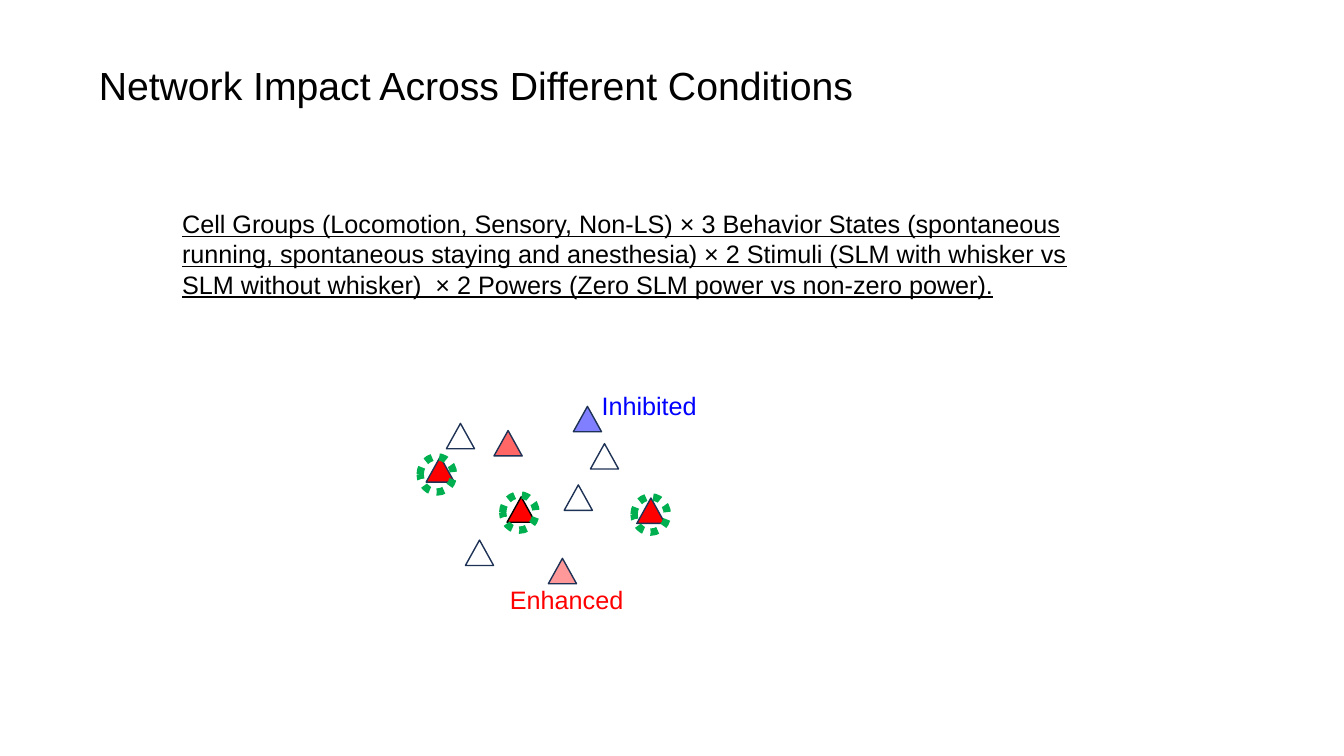
"""Build the slide on network impact across different conditions."""
from pptx import Presentation
from pptx.dml.color import RGBColor
from pptx.enum.dml import MSO_LINE
from pptx.enum.shapes import MSO_SHAPE as SHAPE
from pptx.enum.text import MSO_ANCHOR as ANCHOR
from pptx.oxml.ns import qn
from pptx.util import Cm, Pt
from lxml.etree import SubElement

FONT = "Arial"
BLACK, NAVY, RED, BLUE, GREEN = "000000", "1E3256", "FF0000", "0000FF", "00B050"

TITLE = "Network Impact Across Different Conditions"
DESIGN = (
    "Cell Groups (Locomotion, Sensory, Non-LS) × 3 Behavior States "
    "(spontaneous running, spontaneous staying and anesthesia) × 2 Stimuli "
    "(SLM with whisker vs SLM without whisker)  × 2 Powers "
    "(Zero SLM power vs non-zero power)."
)
LABELS = [
    ("Enhanced", 12.6, 14.6, RED),
    ("Inhibited", 14.91, 9.7, BLUE),
]

CELL_SIZE = (0.71, 0.64)
RING_SIZE = (0.84, 0.89)
SILENT_CELLS = [(11.25, 10.67), (14.88, 11.18), (11.73, 13.61), (14.22, 12.22)]
ACTIVE_CELLS = [
    (12.45, 10.85, RED, 60, NAVY),
    (14.45, 10.24, BLUE, 50, NAVY),
    (13.82, 14.07, RED, 40, NAVY),
    (10.74, 11.51, RED, 100, NAVY),
    (12.78, 12.52, RED, 100, BLACK),
    (16.05, 12.55, RED, 100, NAVY),
]
TARGET_RINGS = [(12.67, 12.47), (15.98, 12.52), (10.59, 11.51)]


def rgb(color):
    """Turn a hex string into a colour."""
    return RGBColor.from_string(color)


def add_text(slide, text, box, size=18, color=BLACK, anchor=ANCHOR.TOP):
    """Add a wrapped one-paragraph text box and return its paragraph."""
    tf = slide.shapes.add_textbox(*map(Cm, box)).text_frame
    tf.word_wrap = True
    tf.vertical_anchor = anchor
    p = tf.paragraphs[0]
    p.text = text
    p.font.name = FONT
    p.font.size = Pt(size)
    p.font.color.rgb = rgb(color)
    return p


def add_outline(slide, kind, place, size, color, width):
    """Add an unfilled shape with a coloured outline."""
    sp = slide.shapes.add_shape(kind, *map(Cm, (*place, *size)))
    sp.shadow.inherit = False
    sp.fill.background()
    sp.line.color.rgb = rgb(color)
    sp.line.width = Pt(width)
    return sp


def add_cell(slide, x, y, fill=None, opacity=100, line=NAVY):
    """Add a triangular cell, filled at the given opacity in percent."""
    sp = add_outline(slide, SHAPE.ISOSCELES_TRIANGLE, (x, y), CELL_SIZE, line, 1)
    if fill:
        sp.fill.solid()
        sp.fill.fore_color.rgb = rgb(fill)
    if opacity < 100:
        clr = sp.element.spPr.find(qn("a:solidFill")).find(qn("a:srgbClr"))
        SubElement(clr, qn("a:alpha"), val=str(opacity * 1000))


def main():
    """Draw the slide and save it."""
    prs = Presentation()
    prs.slide_width, prs.slide_height = Cm(33.87), Cm(19.05)
    slide = prs.slides.add_slide(prs.slide_layouts[6])

    title = add_text(slide, TITLE, (2.24, 0.36, 31.37, 3.68), 28, anchor=ANCHOR.MIDDLE)
    title.line_spacing = 0.9
    design = add_text(slide, DESIGN, (4.34, 5.13, 24.1, 2.57))
    design.font.underline = True

    for cell in SILENT_CELLS + ACTIVE_CELLS:
        add_cell(slide, *cell)
    for place in TARGET_RINGS:
        ring = add_outline(slide, SHAPE.OVAL, place, RING_SIZE, GREEN, 5.25)
        ring.line.dash_style = MSO_LINE.ROUND_DOT
    for text, x, y, color in LABELS:
        add_text(slide, text, (x, y, 3.53, 1.02), color=color)

    prs.save("out.pptx")


if __name__ == "__main__":
    main()
